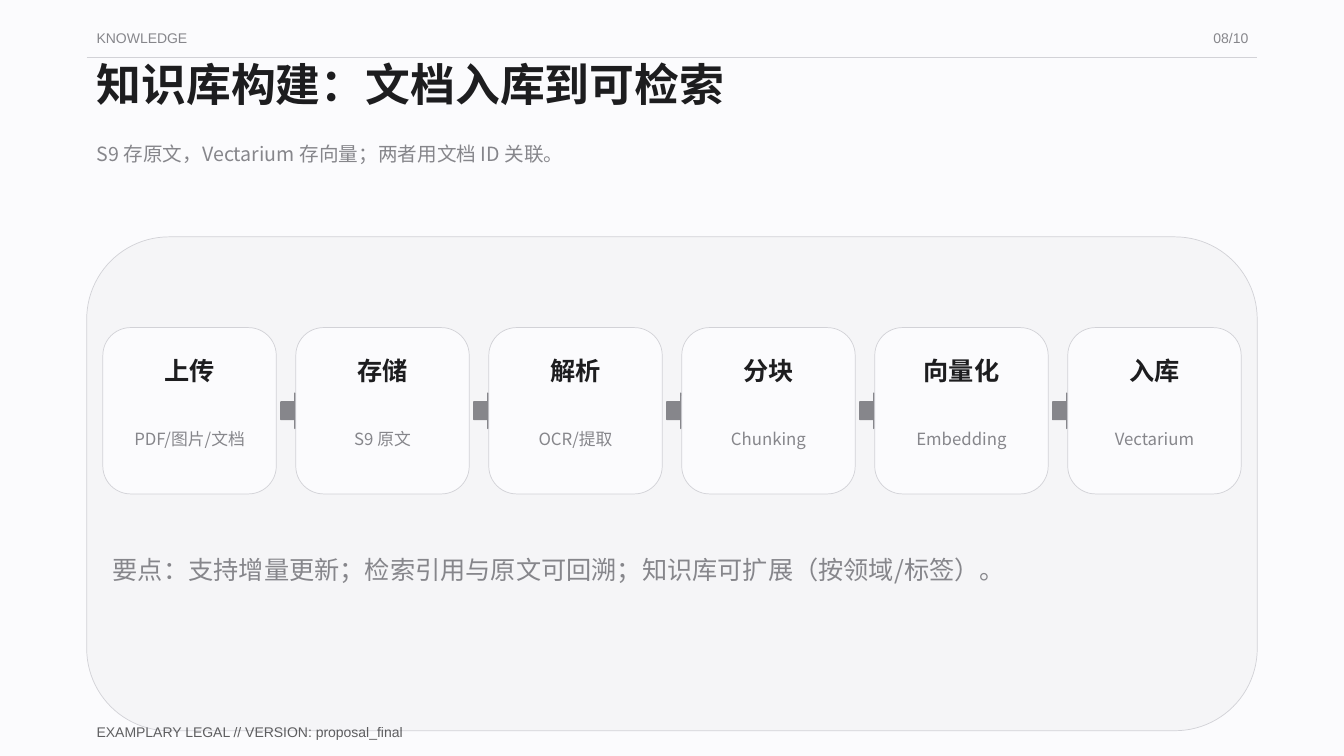
from dataclasses import dataclass
from lxml.etree import SubElement
from pptx import Presentation
from pptx.dml.color import RGBColor
from pptx.enum.shapes import MSO_CONNECTOR, MSO_SHAPE
from pptx.enum.text import MSO_ANCHOR, PP_ALIGN
from pptx.oxml.ns import qn
from pptx.util import Inches, Pt

SECTION = "KNOWLEDGE"
PAGE = "08/10"
TITLE = "知识库构建：文档入库到可检索"
SUBTITLE = "S9 存原文，Vectarium 存向量；两者用文档 ID 关联。"
STEPS = [
    ("上传", "PDF/图片/文档"),
    ("存储", "S9 原文"),
    ("解析", "OCR/提取"),
    ("分块", "Chunking"),
    ("向量化", "Embedding"),
    ("入库", "Vectarium"),
]
KEY_POINT = "要点：支持增量更新；检索引用与原文可回溯；知识库可扩展（按领域/标签）。"
FOOTER = "EXAMPLARY LEGAL // VERSION: proposal_final"


@dataclass(frozen=True)
class Theme:
    ink: str = "1D1D1F"
    muted: str = "86868B"
    rule: str = "D2D2D7"
    panel: str = "F5F5F7"
    paper: str = "FBFBFD"
    latin: str = "Arial"
    cjk: str = "Noto Sans CJK SC"
    small: int = 10
    detail: int = 12
    lead: int = 14
    body: int = 18
    headline: int = 32


THEME = Theme()
LEFT, WIDTH = 0.86, 11.62
PANEL_TOP, PANEL_WIDTH, PANEL_HEIGHT = 2.35, 11.61, 4.9
INSET = 0.16
CARD_TOP, CARD_WIDTH, CARD_HEIGHT = 3.25, 1.72, 1.65
CARD_PADDING = 0.1
ARROW_WIDTH, ARROW_HEIGHT, ARROW_GAP = 0.28, 0.35, 0.045


def add_text(slide, text, box, size, color=THEME.muted, font=THEME.cjk,
             bold=False, alpha=None, **paragraph_format):
    label = slide.shapes.add_textbox(*map(Inches, box))
    frame = label.text_frame
    frame.word_wrap = True
    frame.vertical_anchor = MSO_ANCHOR.MIDDLE
    paragraph = frame.paragraphs[0]
    for name, value in paragraph_format.items():
        setattr(paragraph, name, value)
    run = paragraph.add_run()
    run.text = text
    for name, value in {"size": Pt(size), "name": font, "bold": bold}.items():
        setattr(run.font, name, value)
    run.font.color.rgb = RGBColor.from_string(color)
    properties = run.font._element
    SubElement(properties, qn("a:ea")).set("typeface", font)
    if alpha:
        rgb = properties.find(qn("a:solidFill")).find(qn("a:srgbClr"))
        SubElement(rgb, qn("a:alpha")).set("val", str(alpha * 1000))


def add_block(slide, preset, box, fill, line, line_width):
    block = slide.shapes.add_shape(preset, *map(Inches, box))
    block.shadow.inherit = False
    block.fill.solid()
    block.fill.fore_color.rgb = RGBColor.from_string(fill)
    block.line.color.rgb = RGBColor.from_string(line)
    block.line.width = Pt(line_width)


def add_header(slide):
    small = {"size": THEME.small, "font": THEME.latin}
    add_text(slide, SECTION, (LEFT, 0.25, WIDTH, 0.25), **small)
    add_text(slide, PAGE, (LEFT + WIDTH - 1, 0.25, 1, 0.25),
             alignment=PP_ALIGN.RIGHT, **small)
    rule = slide.shapes.add_connector(
        MSO_CONNECTOR.STRAIGHT,
        *map(Inches, (LEFT, 0.57, LEFT + PANEL_WIDTH, 0.57)))
    rule.line.color.rgb = RGBColor.from_string(THEME.rule)
    rule.line.width = Pt(0.5)
    SubElement(rule._element.spPr, qn("a:effectLst"))
    add_text(slide, TITLE, (LEFT, 0.53, WIDTH, 0.55), THEME.headline,
             THEME.ink, bold=True, line_spacing=1.1)
    add_text(slide, SUBTITLE, (LEFT, 1.28, WIDTH, 0.45), THEME.lead,
             line_spacing=1.2)


def add_steps(slide):
    first = LEFT + INSET
    span = PANEL_WIDTH - 2 * INSET
    pitch = (span - CARD_WIDTH) / (len(STEPS) - 1)
    text_width = CARD_WIDTH - 2 * CARD_PADDING
    arrow_top = CARD_TOP + (CARD_HEIGHT - ARROW_HEIGHT) / 2
    for index, (step, detail) in enumerate(STEPS):
        left = first + index * pitch
        text_left = left + CARD_PADDING
        add_block(slide, MSO_SHAPE.ROUNDED_RECTANGLE,
                  (left, CARD_TOP, CARD_WIDTH, CARD_HEIGHT),
                  THEME.paper, THEME.rule, 0.5)
        add_text(slide, step, (text_left, CARD_TOP + 0.25, text_width, 0.35),
                 THEME.body, THEME.ink, bold=True, alignment=PP_ALIGN.CENTER)
        add_text(slide, detail, (text_left, CARD_TOP + 0.75, text_width, 0.7),
                 THEME.detail, alignment=PP_ALIGN.CENTER)
        if index < len(STEPS) - 1:
            add_block(slide, MSO_SHAPE.RIGHT_ARROW,
                      (left + CARD_WIDTH + ARROW_GAP, arrow_top,
                       ARROW_WIDTH, ARROW_HEIGHT),
                      THEME.muted, THEME.muted, 1)


def main():
    deck = Presentation()
    deck.slide_width, deck.slide_height = Inches(13.33), Inches(7.5)
    slide = deck.slides.add_slide(deck.slide_layouts[6])
    slide.background.fill.solid()
    slide.background.fill.fore_color.rgb = RGBColor.from_string(THEME.paper)
    add_header(slide)
    add_block(slide, MSO_SHAPE.ROUNDED_RECTANGLE,
              (LEFT, PANEL_TOP, PANEL_WIDTH, PANEL_HEIGHT),
              THEME.panel, THEME.rule, 0.5)
    add_steps(slide)
    add_text(slide, KEY_POINT,
             (LEFT + INSET, 5.35, PANEL_WIDTH - 2 * INSET, 0.6), THEME.body)
    add_text(slide, FOOTER, (LEFT, 7.15, WIDTH, 0.22), THEME.small,
             THEME.ink, THEME.latin, alpha=70)
    deck.save("out.pptx")


if __name__ == "__main__":
    main()
